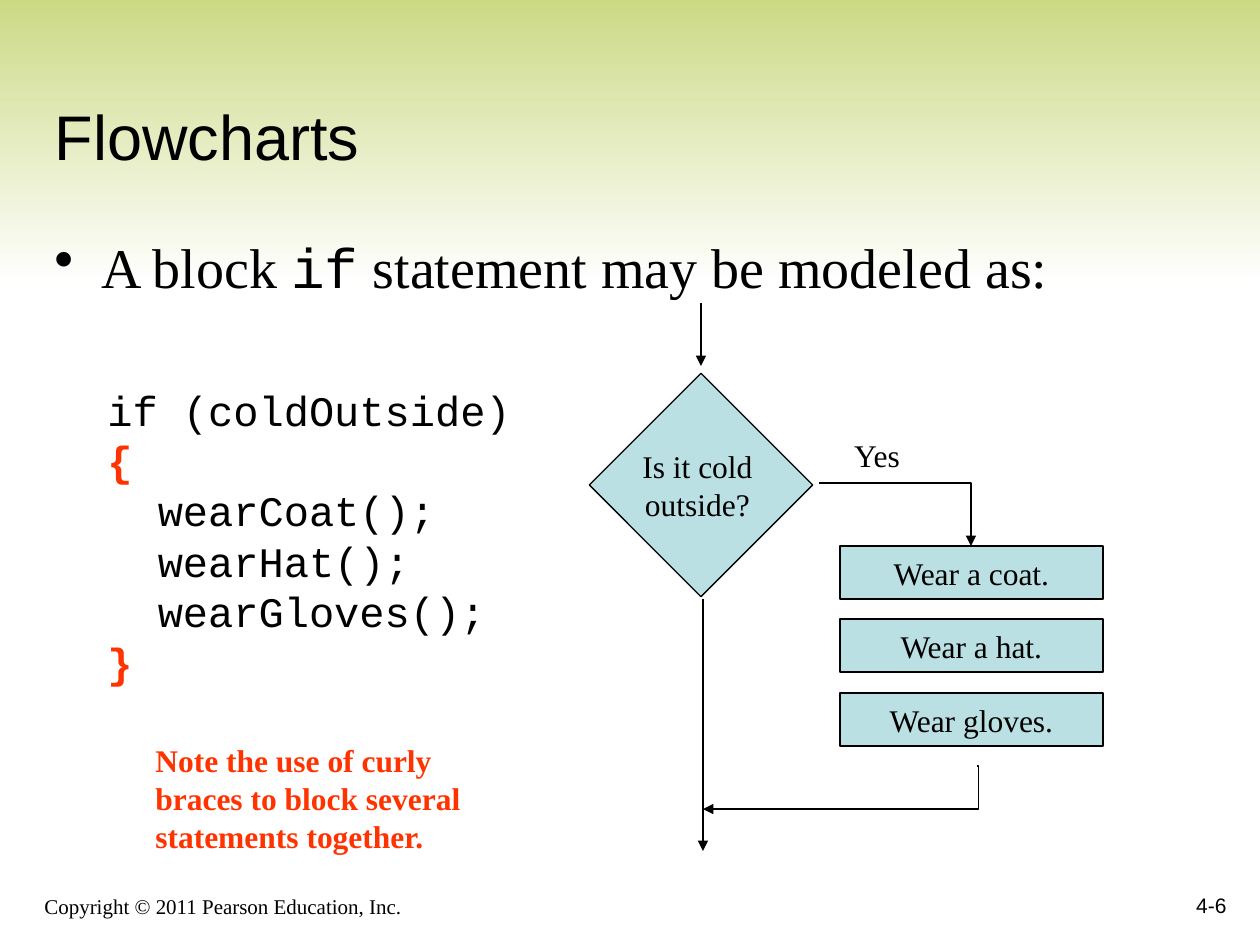
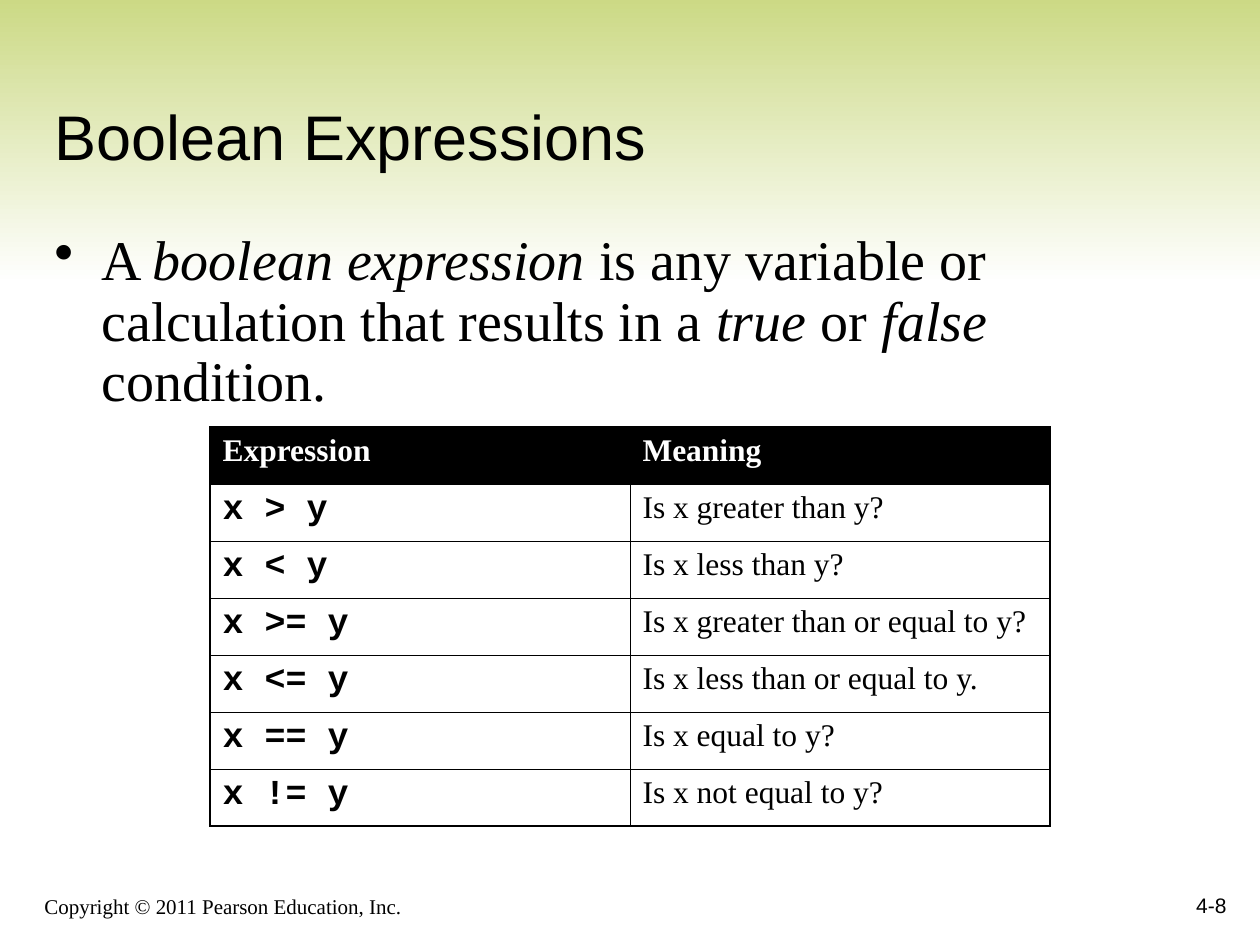
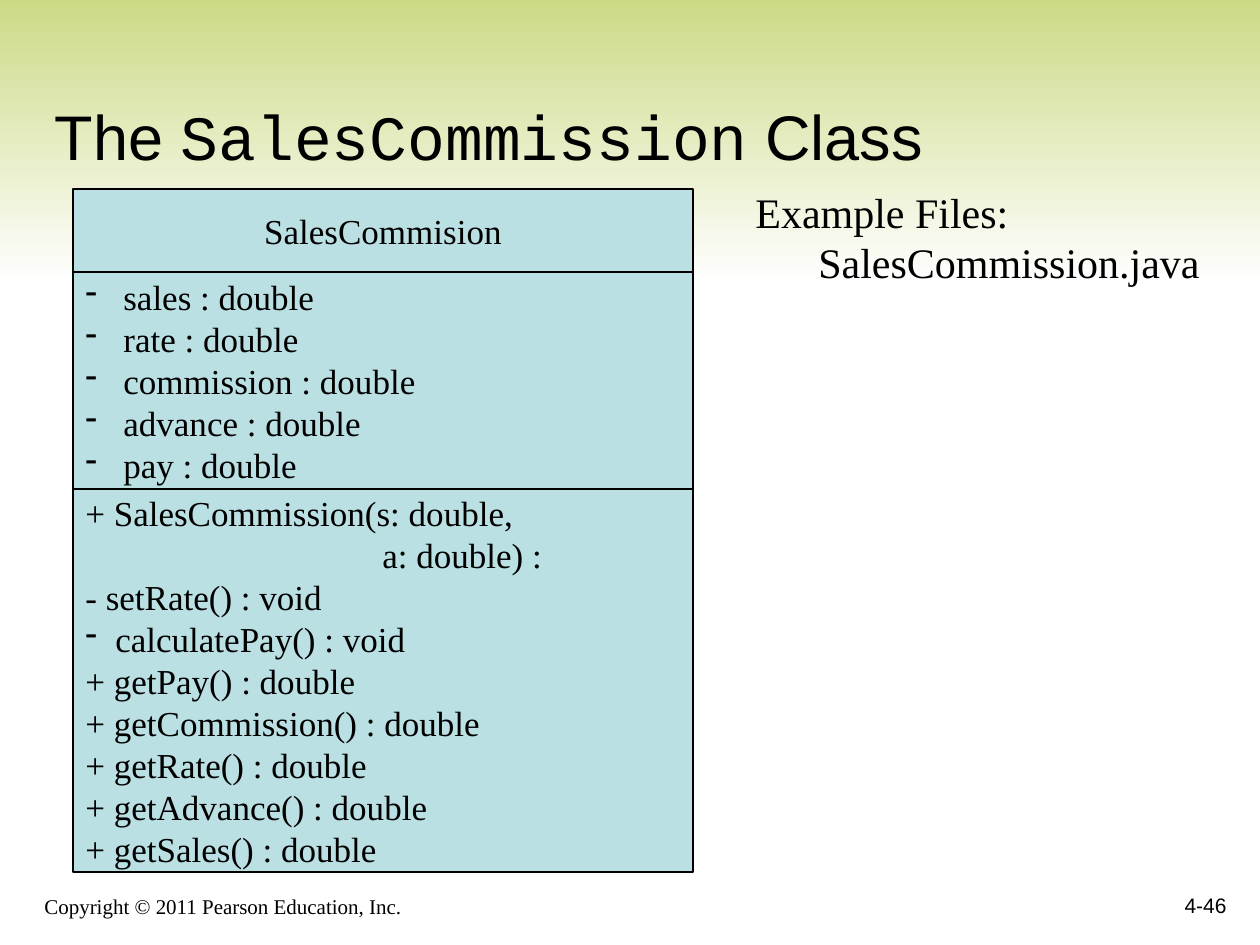
from dataclasses import dataclass

from lxml import etree
from pptx import Presentation
from pptx import util as u
from pptx.dml import color as dml
from pptx.enum import shapes, text
from pptx.oxml import ns

SCALE = 914400 / 126  # EMU in one px
SANS, SERIF, MONO = "Arial", "Times New Roman", "Courier New"
BLACK, WHITE, RED = "000000", "FFFFFF", "FF3300"
BAND, PANEL = "CAD881", "BBE0E3"
LEFT, CENTER, RIGHT = text.PP_ALIGN.LEFT, text.PP_ALIGN.CENTER, text.PP_ALIGN.RIGHT
TOP, MIDDLE, BOTTOM = (text.MSO_ANCHOR.TOP, text.MSO_ANCHOR.MIDDLE,
                       text.MSO_ANCHOR.BOTTOM)


def px(length):
    return u.Emu(round(length * SCALE))


def rgb(value):
    return dml.RGBColor.from_string(value)


def add_xml(parent, tag, **attributes):
    return etree.SubElement(parent, ns.qn(tag), attributes)


@dataclass
class Para:
    """A paragraph: spans are strings or (string, font changes) pairs."""
    spans: list
    bullet: str = ""
    indent: int = 0
    hanging: int = 0
    spacing: float = 1.0


class SlideBuilder:
    def __init__(self):
        self.deck = Presentation()
        self.deck.slide_width, self.deck.slide_height = px(1260), px(945)
        self.layout = self.deck.slide_layouts.get_by_name("Title Only")
        self.slide = None

    # Slides and what they share
    def add_slide(self, title, number):
        self.slide = self.deck.slides.add_slide(self.layout)
        if len(self.deck.slides) == 1:
            self.add_shared_parts()
        holder = self.slide.shapes.title
        holder.left, holder.top, holder.width, holder.height = map(px, (42, 42, 1187, 137))
        self.set_text(holder.text_frame, [title], 36, SANS, anchor=BOTTOM)
        self.text(977, 861, 262, 63, [number], 12, SANS, align=RIGHT, anchor=BOTTOM)

    def add_shared_parts(self):
        band = self.box(0, -10, 1260, 294)
        band.line.fill.background()
        band.fill.gradient()
        band.fill.gradient_angle = 270
        for stop, position, value in zip(band.fill.gradient_stops, (0, 1), (BAND, WHITE)):
            stop.position = position
            stop.color.rgb = rgb(value)
        notice = self.text(32, 872, 766, 53, ["Copyright © 2011 Pearson Education, Inc."],
                           12, anchor=BOTTOM)
        for shape in (band, notice):
            self.layout.shapes._spTree.append(shape._element)

    # Text
    def set_text(self, frame, paras, size, font=SERIF, color=BLACK, bold=False,
                 align=LEFT, anchor=TOP, wrap=True):
        frame.word_wrap = wrap
        frame.auto_size = text.MSO_AUTO_SIZE.NONE
        frame.vertical_anchor = anchor
        base = dict(size=size, font=font, color=color, bold=bold)
        for index, item in enumerate(paras):
            item = item if isinstance(item, Para) else Para([item])
            para = frame.add_paragraph() if index else frame.paragraphs[0]
            self.format_para(para, item, align)
            for part in item.spans:
                words, changes = (part, {}) if isinstance(part, str) else part
                span = para.add_run()
                span.text = words
                self.format_span(span, **{**base, **changes})

    @staticmethod
    def format_para(para, item, align):
        properties = para._p.get_or_add_pPr()
        if item.indent:
            properties.set("marL", str(px(item.indent)))
            properties.set("indent", str(-px(item.hanging)))
        if item.bullet:
            add_xml(properties, "a:buChar", char=item.bullet)
        para.alignment = align
        para.space_before = u.Pt(0)
        para.line_spacing = item.spacing

    @staticmethod
    def format_span(span, size, font, color, bold, italic=False):
        span.font.size = u.Pt(size)
        span.font.name = font
        span.font.bold = bold
        span.font.italic = italic
        span.font.color.rgb = rgb(color)

    def text(self, left, top, width, height, paras, size, font=SERIF, **style):
        box = self.slide.shapes.add_textbox(*map(px, (left, top, width, height)))
        self.set_text(box.text_frame, paras, size, font, **style)
        return box

    def body(self, height, spans, spacing=1.0):
        box = self.text(42, 226, 1143, height, [Para(spans, "•", 47, 47, spacing)], 32)
        box.text_frame.margin_right = 0

    # Shapes
    def box(self, left, top, width, height, paras=(), size=18, align=CENTER):
        box = self.slide.shapes.add_shape(shapes.MSO_SHAPE.RECTANGLE,
                                          *map(px, (left, top, width, height)))
        box.shadow.inherit = False
        box.fill.solid()
        box.fill.fore_color.rgb = rgb(PANEL)
        box.line.color.rgb = rgb(BLACK)
        box.line.width = u.Pt(0.75)
        self.set_text(box.text_frame, paras, size, align=align, anchor=MIDDLE)
        return box

    def arrow(self, start, end, kind=shapes.MSO_CONNECTOR.STRAIGHT):
        arrow = self.slide.shapes.add_connector(kind, *map(px, (*start, *end)))
        arrow.line.color.rgb = rgb(BLACK)
        arrow.line.width = u.Pt(0.75)
        add_xml(arrow.line._get_or_add_ln(), "a:tailEnd", type="triangle")
        add_xml(arrow._element.spPr, "a:effectLst")
        return arrow

    def elbow(self, start, end, preset, bend=None):
        arrow = self.arrow(start, end, shapes.MSO_CONNECTOR.ELBOW)
        geometry = arrow._element.spPr.find(ns.qn("a:prstGeom"))
        geometry.set("prst", preset)
        if bend is not None:
            guides = geometry.find(ns.qn("a:avLst"))
            if guides is None:
                guides = add_xml(geometry, "a:avLst")
            add_xml(guides, "a:gd", name="adj1", fmla=f"val {bend}")

    # Tables
    def table(self, left, top, width, row_height, rows):
        last_row, last_column = len(rows) - 1, len(rows[0]) - 1
        frame = self.slide.shapes.add_table(
            len(rows), len(rows[0]), *map(px, (left, top, width, row_height * len(rows))))
        for r, row in enumerate(rows):
            for c, words in enumerate(row):
                cell = frame.table.cell(r, c)
                self.borders(cell, L=c == 0, R=c == last_column, T=r == 0, B=r == last_row)
                if r == 0:
                    cell.fill.solid()
                    cell.fill.fore_color.rgb = rgb(BLACK)
                    style = dict(size=18, color=WHITE, bold=True)
                else:
                    cell.fill.background()
                    style = dict(size=18) if c else dict(size=20, font=MONO, bold=True)
                para = cell.text_frame.paragraphs[0]
                para.text = words
                self.format_span(para.runs[0], **{"font": SERIF, "color": BLACK,
                                                  "bold": False, **style})

    @staticmethod
    def borders(cell, **outer_sides):
        properties = cell._tc.get_or_add_tcPr()
        for side, outer in outer_sides.items():
            line = add_xml(properties, f"a:ln{side}", w=str(u.Pt(1.08 if outer else 0.45)))
            add_xml(add_xml(line, "a:solidFill"), "a:srgbClr", val=BLACK)


def flowchart_slide(page):
    page.add_slide("Flowcharts", "4-6")
    page.body(142, ["A block ", ("if", {"font": MONO}), " statement may be modeled as:"])

    # Decision
    decision = page.box(622, 406, 158, 158)
    decision.rotation = 45
    page.text(630, 441, 135, 88, ["Is it cold", "outside?"], 18, align=CENTER, wrap=False)
    page.text(840, 430, 74, 50, ["Yes"], 18, align=CENTER, wrap=False)

    # Steps
    for index, step in enumerate(("Wear a coat.", "Wear a hat.", "Wear gloves.")):
        page.box(840, 546 + index * 147 // 2, 263, 53, [step])

    # Flow
    page.arrow((701, 303), (701, 366))
    page.arrow((703, 599), (703, 851))
    page.elbow((819, 483), (971, 546), "bentConnector2")
    page.elbow((977, 766), (703, 809), "bentConnector3", bend=-500)

    # Code and its note
    brace = {"color": RED, "bold": True}
    page.text(95, 378, 451, 315, [
        "if (coldOutside)", ("{", brace), "  wearCoat();", "  wearHat();",
        "  wearGloves();", ("}", brace)], 24, MONO)
    page.text(143, 735, 330, 126, [
        "Note the use of curly", "braces to block several", "statements together."],
        18, color=RED, bold=True, wrap=False)


def boolean_slide(page):
    page.add_slide("Boolean Expressions", "4-8")
    italic = {"italic": True}
    page.body(213, [
        "A ", ("boolean expression", italic),
        " is any variable or calculation that results in a ", ("true", italic),
        " or ", ("false", italic), " condition."], spacing=0.9)
    page.table(210, 427, 840, 57, [
        ("Expression", "Meaning"),
        ("x > y", "Is x greater than y?"),
        ("x < y", "Is x less than y?"),
        ("x >= y", "Is x greater than or equal to y?"),
        ("x <= y", "Is x less than or equal to y."),
        ("x == y", "Is x equal to y?"),
        ("x != y", "Is x not equal to y?")])


def class_slide(page):
    page.add_slide(Para(["The ", ("SalesCommission", {"font": MONO}), " Class"]), "4-46")

    # Class diagram: name, fields, methods
    fields = [Para([f"{name} : double"], "-", 38, 38)
              for name in ("sales", "rate", "commission", "advance", "pay")]
    getters = [f"+ get{name}() : double"
               for name in ("Pay", "Commission", "Rate", "Advance", "Sales")]
    methods = ["+ SalesCommission(s: double,", Para(["a: double) :"], indent=297),
               "- setRate() : void", Para(["calculatePay() : void"], "-", 30, 30), *getters]
    top = 189
    for height, lines, align in ((83, ["SalesCommision"], CENTER), (217, fields, LEFT),
                                 (383, methods, LEFT)):
        page.box(73, top, 620, height, lines, 20, align)
        top += height

    page.text(743, 180, 470, 113, [
        "Example Files:", Para(["SalesCommission.java"], indent=63)], 24, wrap=False)


def main():
    page = SlideBuilder()
    flowchart_slide(page)
    boolean_slide(page)
    class_slide(page)
    page.deck.save("out.pptx")


if __name__ == "__main__":
    main()
